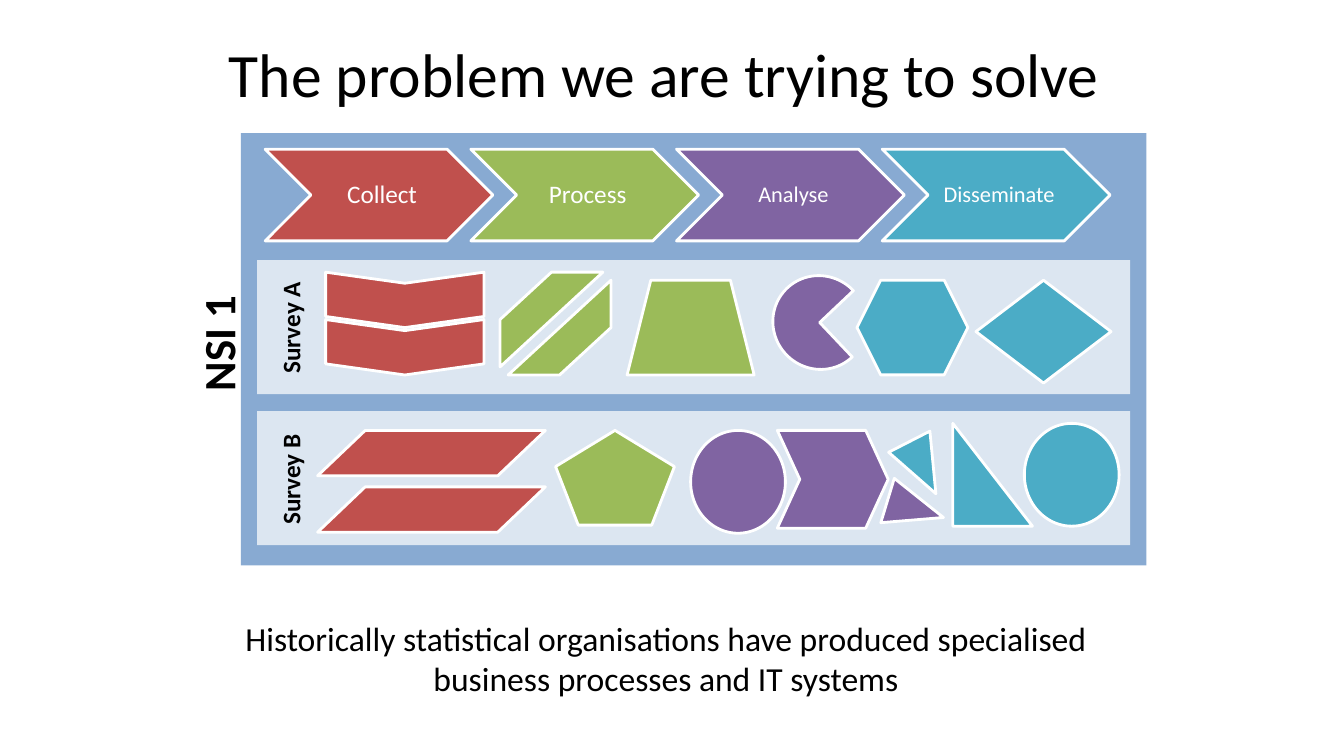
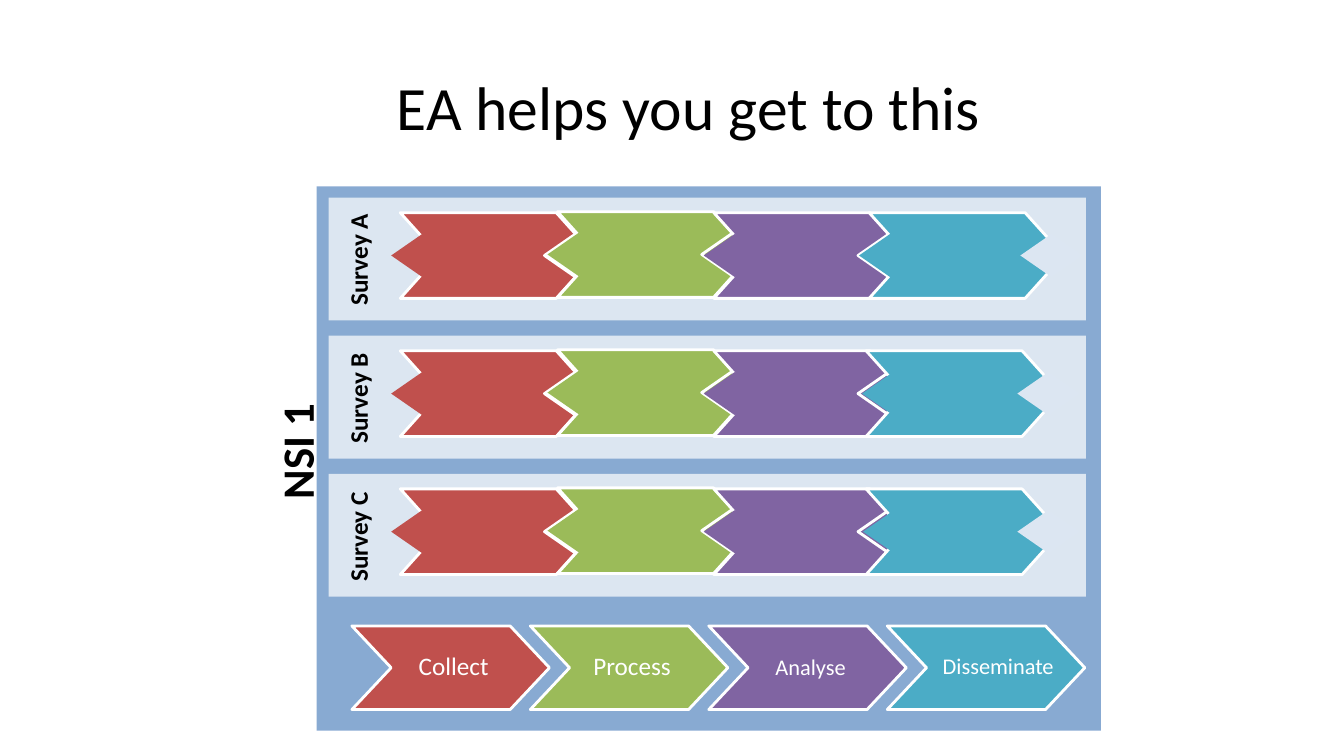
from lxml import etree
from pptx import Presentation
from pptx import util as u
from pptx.dml.color import RGBColor
from pptx.enum import shapes, text
from pptx.oxml.ns import qn

S = shapes.MSO_SHAPE
FONT = "Calibri"
BLACK, WHITE, BLUE, PALE = "000000", "FFFFFF", "4F81BD", "DCE6F2"
RED, GREEN, PURPLE, TEAL = "C0504D", "9BBB59", "8064A2", "4BACC6"
STEPS = [("Collect", RED, 18), ("Process", GREEN, 18),
         ("Analyse", PURPLE, 16), ("Disseminate", TEAL, 16)]


def rgb(code):
    return RGBColor.from_string(code)


def apply(item, values):
    for name, value in values.items():
        setattr(item, name, value)


# Text
def write(shape, words, size, color=BLACK, bold=False, align=None, space=None, **frame):
    apply(shape.text_frame, frame)
    para = shape.text_frame.paragraphs[0]
    para.text = words
    apply(para, {"alignment": align, "line_spacing": space})
    apply(para.font, {"name": FONT, "size": u.Pt(size), "bold": bold})
    para.font.color.rgb = rgb(color)


def label(slide, box, words, size, turn=0, **values):
    shape = slide.shapes.add_textbox(*map(u.Inches, box))
    shape.rotation = turn
    write(shape, words, size, **values)


def title(slide, box, words):
    label(slide, box, words, 44, align=text.PP_ALIGN.CENTER, word_wrap=True,
          vertical_anchor=text.MSO_ANCHOR.MIDDLE)


def side(slide, box, words, size):
    label(slide, box, words, size, turn=270, bold=True, word_wrap=False,
          auto_size=text.MSO_AUTO_SIZE.SHAPE_TO_FIT_TEXT)


# Shapes
def draw(slide, kind, box, color, turn=0, adj=None, edge=True, alpha=None):
    shape = slide.shapes.add_shape(kind, *map(u.Inches, box))
    shape.shadow.inherit = False
    shape.rotation = turn
    if adj is not None:
        shape.adjustments[0] = adj
    shape.fill.solid()
    shape.fill.fore_color.rgb = rgb(color)
    if alpha:
        tone = shape.fill._xPr.find(".//" + qn("a:srgbClr"))
        etree.SubElement(tone, qn("a:alpha")).set("val", str(alpha * 1000))
    if edge:
        shape.line.color.rgb = rgb(WHITE)
        shape.line.width = u.Pt(2)
    else:
        shape.line.fill.background()
    return shape


def panel(slide, box):
    draw(slide, S.RECTANGLE, box, BLUE, edge=False, alpha=67)


def band(slide, box, words, left):
    draw(slide, S.RECTANGLE, box, WHITE, edge=False, alpha=71)
    side(slide, (left, box[1] + (box[3] - 0.4) / 2, 1.12, 0.4), words, 18)


def flow(slide, left, top, pitch, width, height, adj, skip=None):
    for i, (words, color, size) in enumerate(STEPS):
        box = (left + i * pitch, top, width, height)
        shape = draw(slide, S.CHEVRON, box, color, adj=adj)
        if words != skip:
            write(shape, words, size, WHITE, align=text.PP_ALIGN.CENTER, space=0.9,
                  word_wrap=False, margin_left=u.Inches(0.06), margin_right=0,
                  vertical_anchor=text.MSO_ANCHOR.MIDDLE)


# Row of interlocking pieces, with diamonds as joints
def chain(slide, top, last, joint):
    # left, rise, left joint, right joint, right color, right edge
    parts = [(RED, 3.97, 0, 3.88, 5.4, WHITE, True),
             (GREEN, 5.53, 0.01, 5.43, 6.96, GREEN, True),
             (PURPLE, 7.08, 0, 6.98, 8.51, PURPLE, True),
             (TEAL, last, 0, joint, last + 1.5, PALE, False)]
    for color, left, rise, start, end, tip, edge in parts:
        y = top - rise
        draw(slide, S.CHEVRON, (left, y, 1.93, 0.85), color, adj=0.45)
        draw(slide, S.DIAMOND, (end, y + 0.21, 0.62, 0.43), tip, edge=edge)
        draw(slide, S.DIAMOND, (start, y + 0.21, 0.62, 0.43), color, edge=False)


# Mixed shapes of the two surveys: kind, box, color, turn, adjustment
MIXED = [
    (S.PIE, (7.66, 2.74, 0.94, 0.92), PURPLE, 46.6),
    (S.CHEVRON, (7.71, 4.27, 1.1, 0.97), PURPLE, 0, 0.23),
    (S.CHEVRON, (3.74, 2.19, 0.55, 1.57), RED, 90, 0.2),
    (S.CHEVRON, (3.74, 2.66, 0.55, 1.57), RED, 90, 0.2),
    (S.OVAL, (6.85, 4.27, 0.94, 1.02), PURPLE),
    (S.DIAGONAL_STRIPE, (4.96, 2.7, 1.02, 0.94), GREEN),
    (S.DIAGONAL_STRIPE, (5.04, 2.78, 1.02, 0.94), GREEN, 180),
    (S.ISOSCELES_TRIANGLE, (8.85, 4.76, 0.46, 0.58), PURPLE, 106.9),
    (S.ISOSCELES_TRIANGLE, (8.92, 4.35, 0.46, 0.58), TEAL, 152.9),
    (S.PARALLELOGRAM, (3.15, 4.27, 2.26, 0.45), RED, 0, 1.05),
    (S.PARALLELOGRAM, (3.15, 4.83, 2.26, 0.45), RED, 0, 1.05),
    (S.OVAL, (10.16, 4.2, 0.94, 1.02), TEAL),
    (S.HEXAGON, (8.5, 2.78, 1.1, 0.94), TEAL),
    (S.FLOWCHART_DECISION, (9.68, 2.78, 1.34, 1.02), TEAL),
    (S.REGULAR_PENTAGON, (5.51, 4.27, 1.18, 0.94), GREEN),
    (S.TRAPEZOID, (6.22, 2.78, 1.26, 0.94), GREEN),
    (S.RIGHT_TRIANGLE, (9.45, 4.2, 0.79, 1.02), TEAL),
]


def problem(slide):
    panel(slide, (2.39, 1.32, 8.98, 4.29))
    side(slide, (1.58, 3.08, 1.16, 0.64), "NSI 1", 32)
    flow(slide, 2.63, 1.48, 2.04, 2.26, 0.91, 0.5)
    for i, words in enumerate(("Survey A", "Survey B")):
        band(slide, (2.55, 2.58 + i * 1.5, 8.66, 1.33), words, 2.32)
    for item in MIXED:
        draw(slide, *item)
    label(slide, (2.18, 6.08, 8.85, 0.91),
          "Historically statistical organisations have produced specialised "
          "business processes and IT systems", 24,
          align=text.PP_ALIGN.CENTER, word_wrap=True)
    title(slide, (0.84, 0, 11.5, 1.45), "The problem we are trying to solve")


def answer(slide):
    panel(slide, (3.14, 1.85, 7.78, 5.4))
    side(slide, (2.36, 4.15, 1.16, 0.64), "NSI 1", 32)
    flow(slide, 3.49, 6.21, 1.77, 1.96, 0.83, 0.47, skip="Disseminate")
    rows = [("Survey A", 8.62, 8.52), ("Survey B", 8.59, 8.55), ("Survey C", 8.59, 8.56)]
    for i, (words, last, joint) in enumerate(rows):
        top = 1.96 + i * 1.37
        band(slide, (3.26, top, 7.51, 1.22), words, 2.99)
        chain(slide, top + 0.15, last, joint)
    title(slide, (2.33, 0.42, 9, 1.25), "EA helps you get to this")
    label(slide, (9.19, 6.45, 1.42, 0.34), "Disseminate", 16, color=WHITE,
          align=text.PP_ALIGN.CENTER, space=0.9, word_wrap=True)


def main():
    deck = Presentation()
    apply(deck, {"slide_width": u.Inches(13.33), "slide_height": u.Inches(7.5)})
    for build in (problem, answer):
        build(deck.slides.add_slide(deck.slide_layouts[6]))
    deck.save("out.pptx")


if __name__ == "__main__":
    main()
